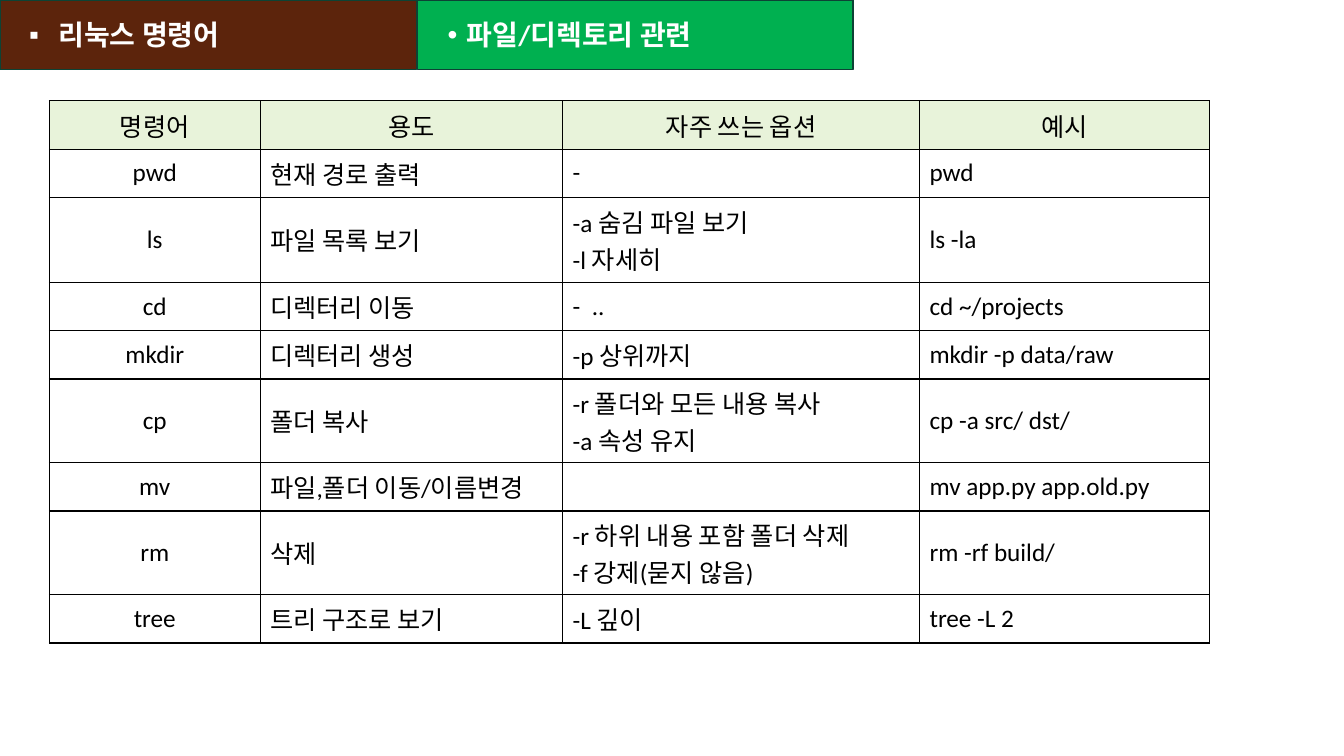
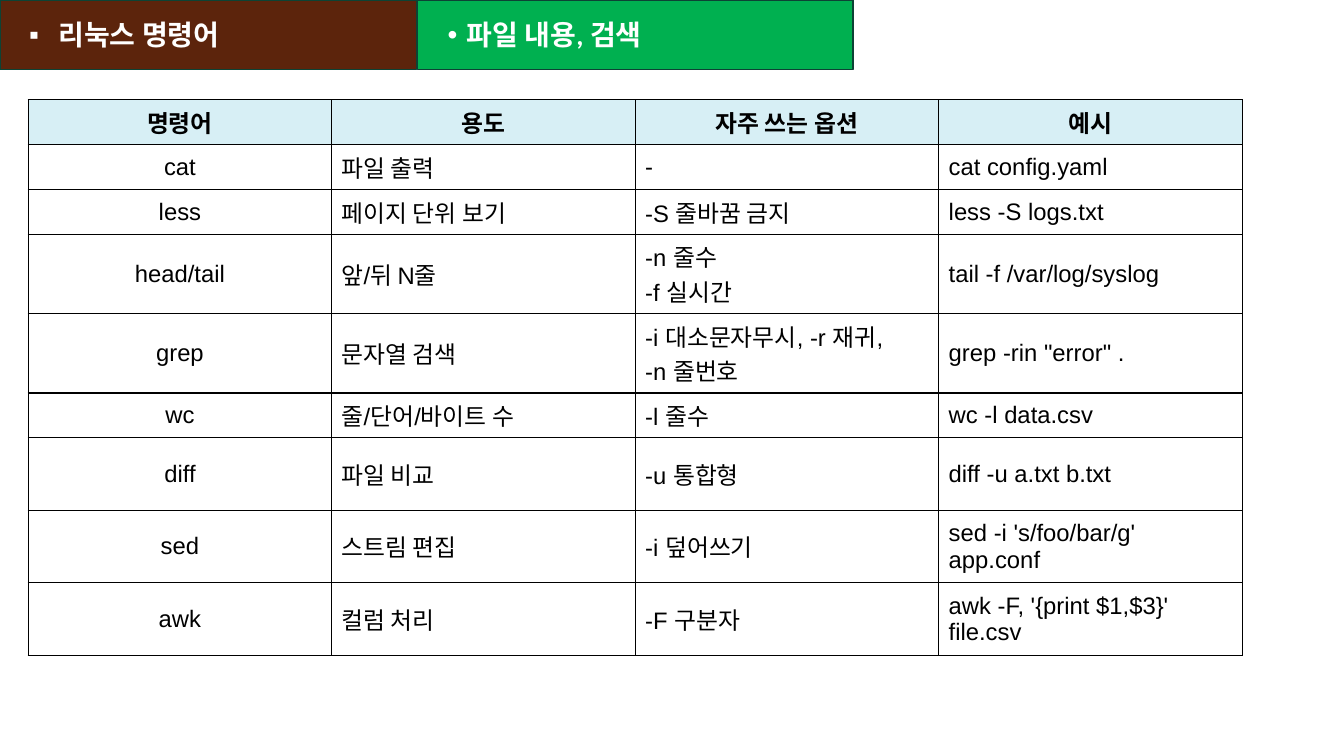
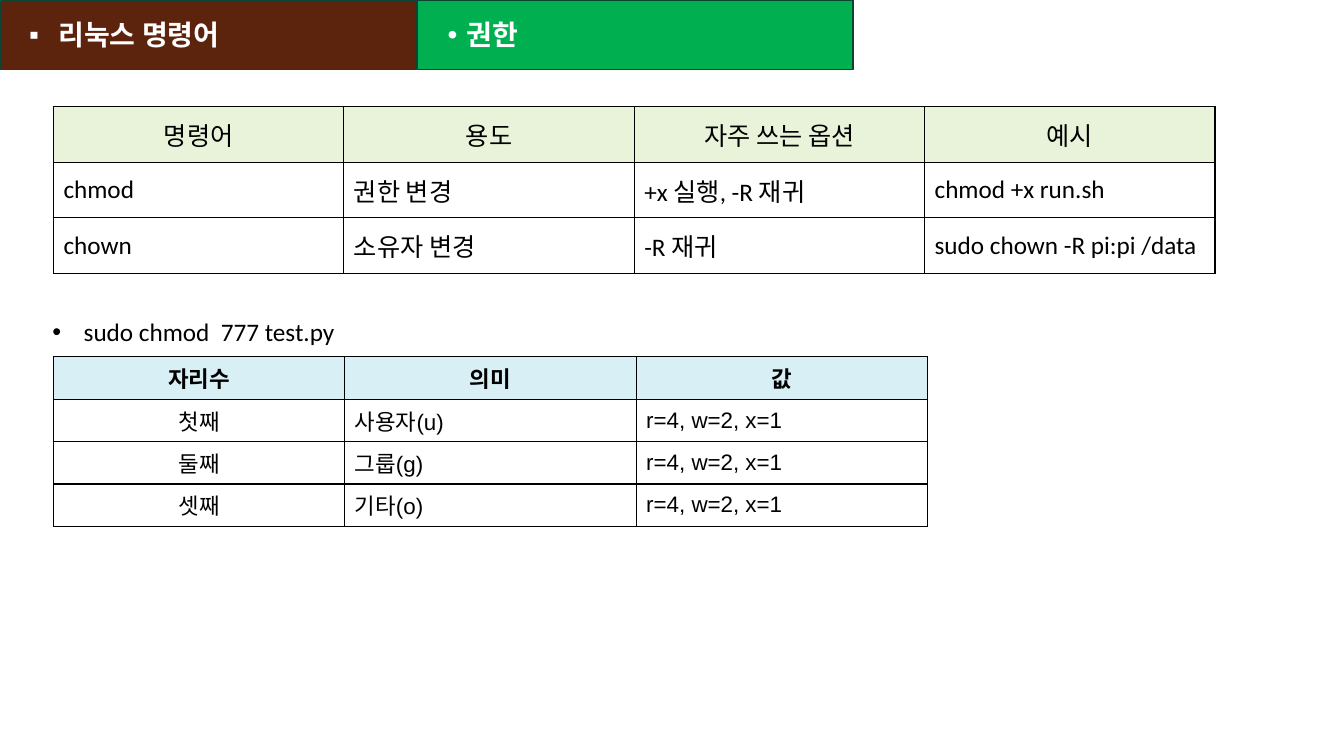
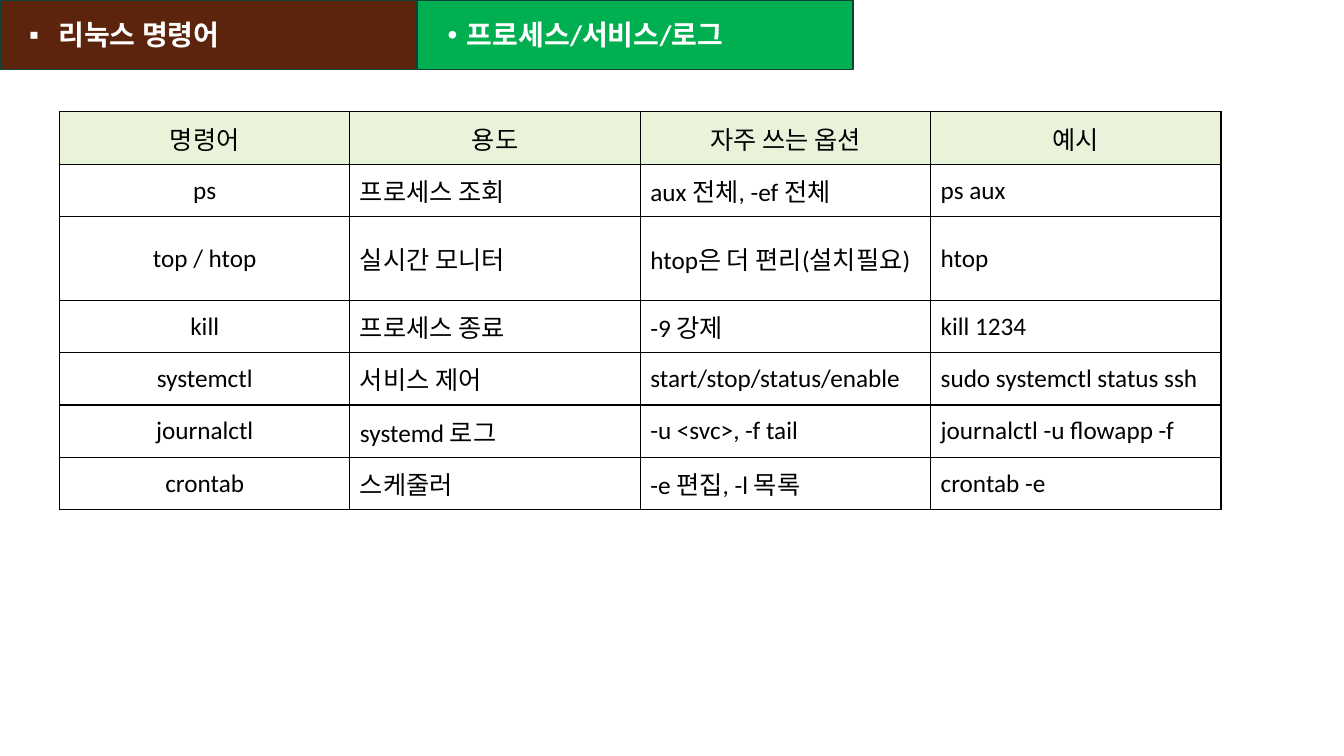
import pptx
import pptx.dml.color
import pptx.enum.shapes
import pptx.enum.text
import pptx.oxml
import pptx.util
import lxml.etree

Inches = pptx.util.Inches
Pt = pptx.util.Pt
Anchor = pptx.enum.text.MSO_ANCHOR
Align = pptx.enum.text.PP_ALIGN
TITLE_LAYOUT, LIST_LAYOUT = 5, 1
HEADINGS = ("명령어", "용도", "자주 쓰는 옵션", "예시")


def color(hex_value):
    return pptx.dml.color.RGBColor.from_string(hex_value)


def add_child(parent, tag, **attributes):
    child = parent.makeelement(pptx.oxml.ns.qn(tag), attributes)
    parent.append(child)
    return child


class Deck:
    BLACK, WHITE = "000000", "FFFFFF"
    BROWN, GREEN, BAND_LINE = "5C240C", "00B050", "0D4335"
    CALIBRI = {"family": "Calibri", "size": 18, "header": "E8F3DA", "bold": False}
    ARIAL = {"family": "Arial", "size": 17, "header": "D7EFF5", "bold": True}
    SMALL_ARIAL = {**ARIAL, "size": 16}

    def __init__(self):
        self.presentation = pptx.Presentation()
        self.presentation.slide_width = Inches(13.33)
        self.presentation.slide_height = Inches(7.5)
        self.slide = None

    def start(self, section, layout=TITLE_LAYOUT):
        self.slide = self.presentation.slides.add_slide(
            self.presentation.slide_layouts[layout])
        subject = self.slide.shapes.add_shape(
            pptx.enum.shapes.MSO_SHAPE.RECTANGLE, 0, 0, Inches(1), Inches(1))
        subject.shadow.inherit = False
        self.band(subject, 0, 4.13, self.BROWN, "리눅스 명령어", "▪", 0.48, 0.29)
        self.band(self.slide.shapes.title, 4.14, 4.32, self.GREEN, section,
                  "•", 0.39, 0.19)

    def band(self, shape, left, width, fill, text, bullet, margin, hanging):
        self.place(shape, left, 0, width, 0.69)
        shape.fill.solid()
        shape.fill.fore_color.rgb = color(fill)
        shape.line.color.rgb = color(self.BAND_LINE)
        shape.line.width = Pt(1)
        self.bulleted(shape, text, bullet, margin, hanging)
        self.style(shape.text_frame.paragraphs[0], "Calibri", 20, self.WHITE, True)

    def bullet_line(self, text, left, top, width, height):
        body = self.slide.placeholders[1]
        self.place(body, left, top, width, height)
        self.bulleted(body, text, "•", 0.31, 0.31)
        self.style(body.text_frame.paragraphs[0], "Calibri", 18, self.BLACK)

    def place(self, shape, left, top, width, height):
        shape.left, shape.top = Inches(left), Inches(top)
        shape.width, shape.height = Inches(width), Inches(height)

    def bulleted(self, shape, text, bullet, margin, hanging):
        frame = shape.text_frame
        frame.text = text
        frame.word_wrap = True
        frame.auto_size = pptx.enum.text.MSO_AUTO_SIZE.NONE
        frame.vertical_anchor = Anchor.MIDDLE
        paragraph = frame.paragraphs[0]
        paragraph.space_before = Pt(0)
        properties = paragraph._p.get_or_add_pPr()
        properties.set("marL", str(Inches(margin)))
        properties.set("indent", str(-Inches(hanging)))
        add_child(properties, "a:buFont", typeface="Arial")
        add_child(properties, "a:buChar", char=bullet)

    def style(self, paragraph, family, size, text_color, bold=False,
              align=Align.LEFT):
        paragraph.alignment = align
        font = paragraph.font
        font.name, font.size, font.bold = family, Pt(size), bold
        font.color.rgb = color(text_color)

    def table(self, left, top, widths, row_height, rows, look,
              tall_rows=None, centered_first=True):
        heights = [(tall_rows or {}).get(index, row_height)
                   for index in range(len(rows))]
        table = self.slide.shapes.add_table(
            len(rows), len(widths), Inches(left), Inches(top),
            Inches(sum(widths)), Inches(sum(heights))).table
        table.first_row = table.horz_banding = False
        for column, width in zip(table.columns, widths):
            column.width = Inches(width)
        for row, height, texts in zip(table.rows, heights, rows):
            row.height = Inches(height)
            is_header = texts is rows[0]
            for index, (cell, text) in enumerate(zip(row.cells, texts)):
                centered = is_header or (centered_first and index == 0)
                self.cell(cell, text, look, is_header, centered)

    def cell(self, cell, text, look, is_header, centered):
        cell.text = text
        cell.vertical_anchor = Anchor.MIDDLE
        self.borders(cell)
        if is_header:
            cell.fill.solid()
            cell.fill.fore_color.rgb = color(look["header"])
        else:
            cell.fill.background()
        for paragraph in cell.text_frame.paragraphs:
            self.style(paragraph, look["family"], look["size"], self.BLACK,
                       is_header and look["bold"],
                       Align.CENTER if centered else Align.LEFT)

    def borders(self, cell):
        properties = cell._tc.get_or_add_tcPr()
        for side in ("a:lnL", "a:lnR", "a:lnT", "a:lnB"):
            line = add_child(properties, side, w=str(Pt(1)))
            add_child(add_child(line, "a:solidFill"), "a:srgbClr", val=self.BLACK)


def main():
    deck = Deck()
    equal_widths = [2.88] * 4

    deck.start("파일/디렉토리 관련")
    deck.table(0.49, 1, [2.09, 3, 3.54, 2.88], 0.48, [
        HEADINGS,
        ("pwd", "현재 경로 출력", "-", "pwd"),
        ("ls", "파일 목록 보기", "-a 숨김 파일 보기\n-l 자세히", "ls -la"),
        ("cd", "디렉터리 이동", "-  ..", "cd ~/projects"),
        ("mkdir", "디렉터리 생성", "-p 상위까지", "mkdir -p data/raw"),
        ("cp", "폴더 복사", "-r 폴더와 모든 내용 복사\n-a 속성 유지", "cp -a src/ dst/"),
        ("mv", "파일,폴더 이동/이름변경", "", "mv app.py app.old.py"),
        ("rm", "삭제", "-r 하위 내용 포함 폴더 삭제\n-f 강제(묻지 않음)",
         "rm -rf build/"),
        ("tree", "트리 구조로 보기", "-L 깊이", "tree -L 2"),
    ], Deck.CALIBRI, {2: 0.84, 5: 0.83, 7: 0.83})

    deck.start("파일 내용, 검색")
    deck.table(0.28, 0.99, [3.01] * 4, 0.44, [
        HEADINGS,
        ("cat", "파일 출력", "-", "cat config.yaml"),
        ("less", "페이지 단위 보기", "-S 줄바꿈 금지", "less -S logs.txt"),
        ("head/tail", "앞/뒤 N줄", "-n 줄수\n-f 실시간", "tail -f /var/log/syslog"),
        ("grep", "문자열 검색", "-i 대소문자무시, -r 재귀,\n-n 줄번호",
         'grep -rin "error" .'),
        ("wc", "줄/단어/바이트 수", "-l 줄수", "wc -l data.csv"),
        ("diff", "파일 비교", "-u 통합형", "diff -u a.txt b.txt"),
        ("sed", "스트림 편집", "-i 덮어쓰기", "sed -i 's/foo/bar/g' app.conf"),
        ("awk", "컬럼 처리", "-F 구분자", "awk -F, '{print $1,$3}' file.csv"),
    ], Deck.ARIAL, {3: 0.78, 4: 0.78, 6: 0.72, 7: 0.72, 8: 0.72})

    deck.start("권한", LIST_LAYOUT)
    deck.table(0.53, 1.06, equal_widths, 0.55, [
        HEADINGS,
        ("chmod", "권한 변경", "+x 실행, -R 재귀", "chmod +x run.sh"),
        ("chown", "소유자 변경", "-R 재귀", "sudo chown -R pi:pi /data"),
    ], Deck.CALIBRI, centered_first=False)
    deck.bullet_line("sudo chmod  777 test.py", 0.42, 3.09, 3.52, 0.4)
    digit_value = "r=4, w=2, x=1"
    deck.table(0.53, 3.54, [2.89] * 3, 0.42, [
        ("자리수", "의미", "값"),
        ("첫째", "사용자(u)", digit_value),
        ("둘째", "그룹(g)", digit_value),
        ("셋째", "기타(o)", digit_value),
    ], Deck.SMALL_ARIAL)

    deck.start("프로세스/서비스/로그")
    deck.table(0.59, 1.11, equal_widths, 0.52, [
        HEADINGS,
        ("ps", "프로세스 조회", "aux 전체, -ef 전체", "ps aux"),
        ("top / htop", "실시간 모니터", "htop은 더 편리(설치필요)", "htop"),
        ("kill", "프로세스 종료", "-9 강제", "kill 1234"),
        ("systemctl", "서비스 제어", "start/stop/status/enable",
         "sudo systemctl status ssh"),
        ("journalctl", "systemd 로그", "-u <svc>, -f tail",
         "journalctl -u flowapp -f"),
        ("crontab", "스케줄러", "-e 편집, -l 목록", "crontab -e"),
    ], Deck.CALIBRI, {2: 0.83})

    deck.presentation.save("out.pptx")


if __name__ == "__main__":
    main()
